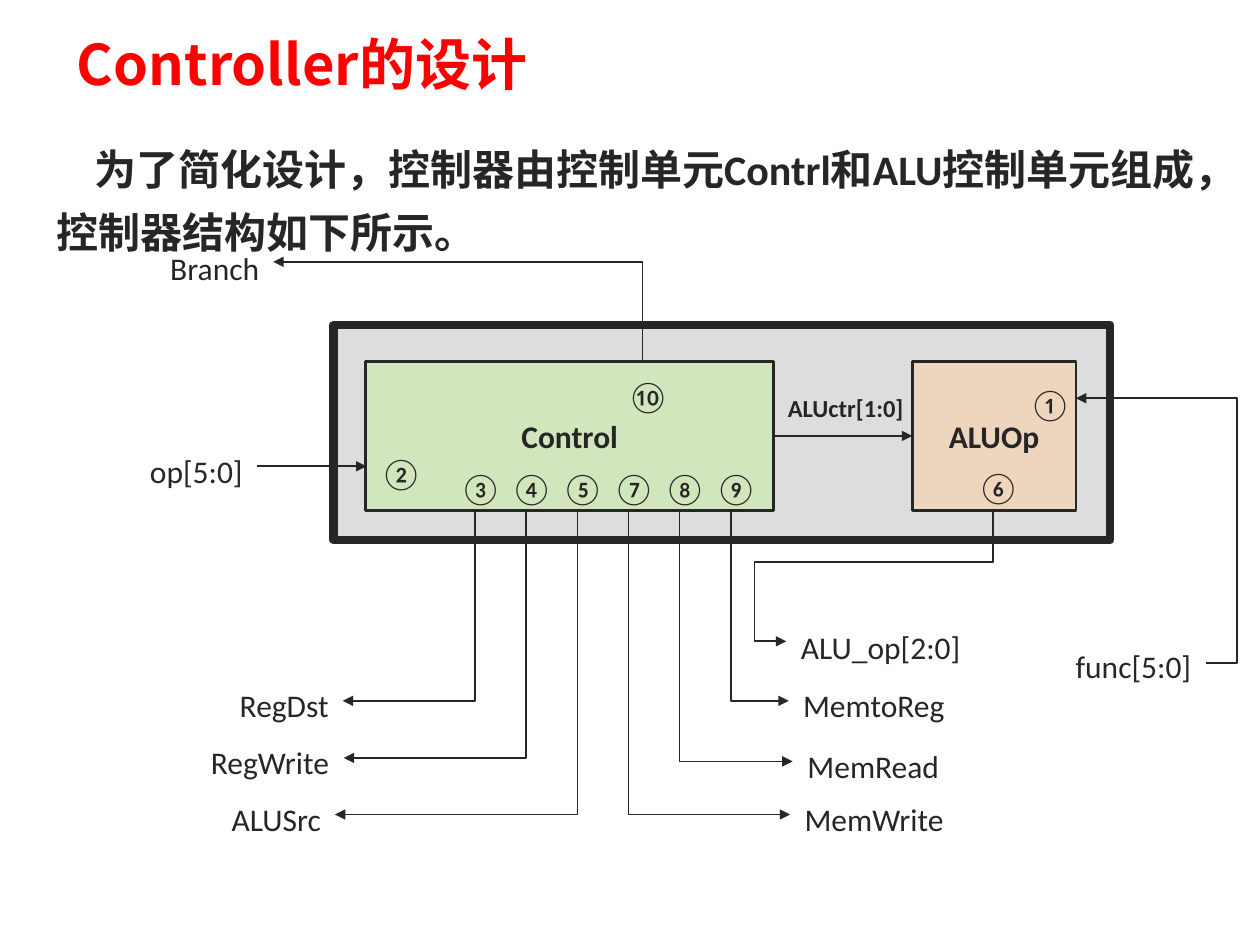
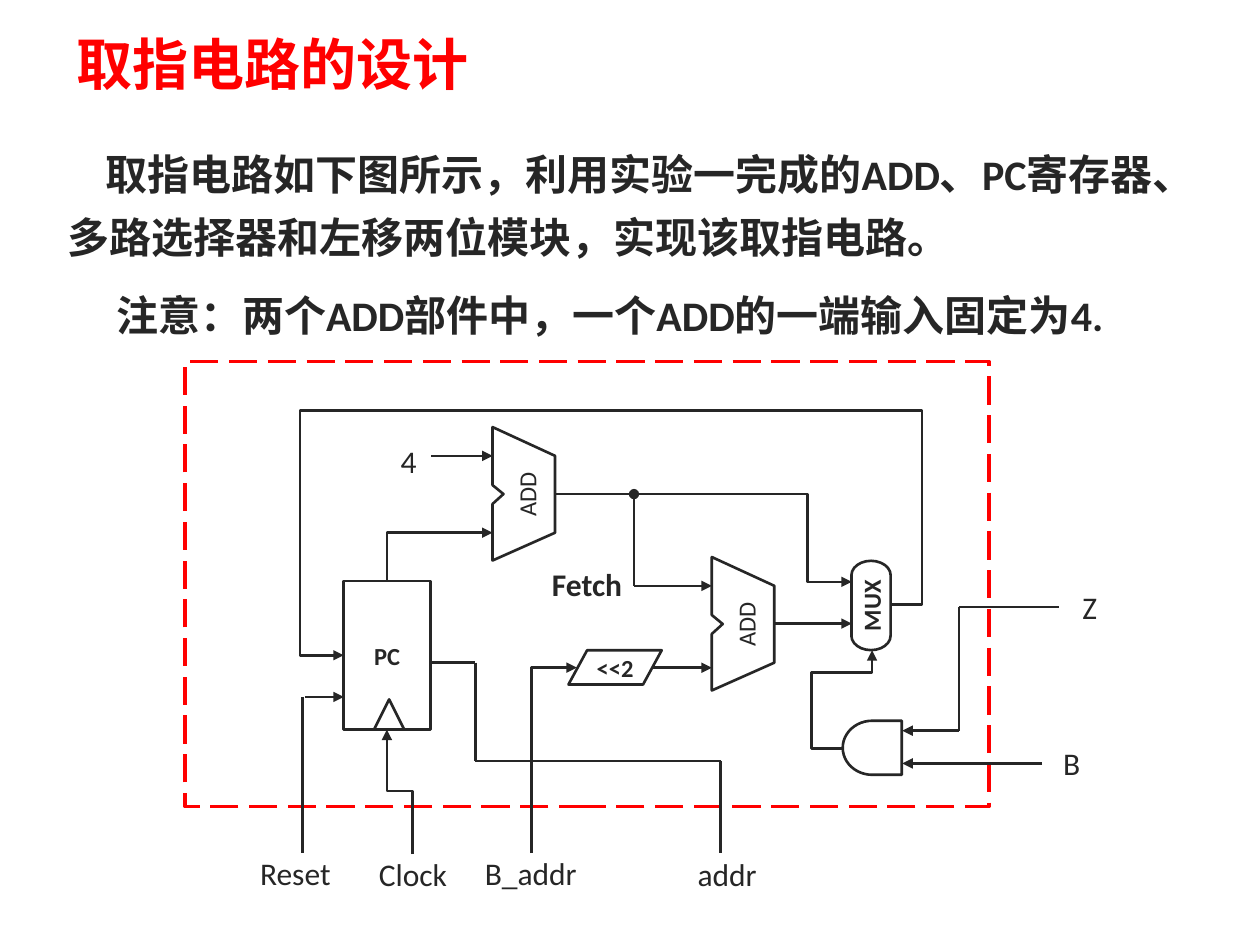
"""Two slides on a processor lab: the controller and the fetch circuit."""
from dataclasses import dataclass
from itertools import pairwise

from lxml import etree
from pptx import Presentation
from pptx import util as u
from pptx.dml import color
from pptx.enum import dml, shapes, text
from pptx.oxml import ns

INK, RED = "262626", "FF0000"
GREY, GREEN, ORANGE = "BDBDBD", "CAEEA6", "FBD0A5"
BODY_FONT, TITLE_FONT = "Calibri", "Noto Sans CJK JP"
LABEL_HEIGHT, NUMBER_SIZE = 1.24, 1.18
SHAPE = shapes.MSO_SHAPE
MIDDLE = text.MSO_ANCHOR.MIDDLE


@dataclass
class Area:
    """A part of a page; all places inside it are in cm from its corner."""
    page: object
    left: float
    top: float

    def place(self, x, y):
        """Turn a point of the area into a point of the page."""
        return u.Cm(self.left + x), u.Cm(self.top + y)


def rgb(value):
    """Colour from a hex string."""
    return color.RGBColor.from_string(value)


def add_child(parent, tag, **attributes):
    """Append a drawing element to an XML parent."""
    return etree.SubElement(parent, ns.qn(tag), attributes)


def write(shape, words, size=18, bold=False, ink=INK, font=BODY_FONT,
          align=text.PP_ALIGN.CENTER, spacing=None, inset=None, anchor=MIDDLE,
          indent=None):
    """Put one styled paragraph into a shape."""
    frame = shape.text_frame
    frame.vertical_anchor = anchor
    if inset is not None:
        frame.margin_left = frame.margin_right = u.Cm(inset[0])
        frame.margin_top = frame.margin_bottom = u.Cm(inset[1])
    para = frame.paragraphs[0]
    para.text = words
    para.alignment = align
    para.line_spacing = spacing
    para.font.size, para.font.bold = u.Pt(size), bold
    para.font.name = font
    para.font.color.rgb = rgb(ink)
    if indent:
        properties = para._p.get_or_add_pPr()
        properties.set("marL", "0")
        properties.set("indent", str(u.Cm(indent)))


def add_text(area, x, y, width, height, words, wrap=True, **style):
    """Text box inside an area."""
    box = area.page.shapes.add_textbox(*area.place(x, y), u.Cm(width), u.Cm(height))
    box.text_frame.word_wrap = wrap
    write(box, words, **style)
    return box


def add_label(area, x, y, width, words, height=LABEL_HEIGHT, **style):
    """One-line signal name that keeps its own width."""
    box = add_text(area, x, y, width, height, words, wrap=False, spacing=1.25,
                   inset=(0.28, 0.13), anchor=text.MSO_ANCHOR.TOP, **style)
    box.text_frame.auto_size = text.MSO_AUTO_SIZE.SHAPE_TO_FIT_TEXT


def outline(shape, weight=1.5, ink=INK, fill=None, alpha=100):
    """Give a shape its line and, if wanted, a translucent fill."""
    shape.shadow.inherit = False
    shape.line.color.rgb, shape.line.width = rgb(ink), u.Pt(weight)
    if fill is None:
        shape.fill.background()
        return
    shape.fill.solid()
    shape.fill.fore_color.rgb = rgb(fill)
    fill_color = shape.fill._xPr.find(".//" + ns.qn("a:srgbClr"))
    add_child(fill_color, "a:alpha", val=str(alpha * 1000))


def add_block(area, kind, x, y, width, height, **look):
    """Outlined preset shape inside an area."""
    block = area.page.shapes.add_shape(kind, *area.place(x, y), u.Cm(width), u.Cm(height))
    outline(block, **look)
    return block


def bend(wire, points):
    """Turn a connector into the bent preset that follows right-angled points."""
    (x0, y0), (x1, y1) = points[0], points[-1]
    upright = points[0][0] == points[1][0]
    first_axis = 1 if upright else 0
    frame = wire._element.spPr.find(ns.qn("a:xfrm"))
    flips = (x1 < x0, y1 < y0)
    if upright:
        width, height = wire.width, wire.height
        wire.left += (width - height) // 2
        wire.top += (height - width) // 2
        wire.width, wire.height = height, width
        flips = (y1 < y0, x1 > x0)
        if flips[0] != flips[1]:
            flips = flips[::-1]
            frame.set("rot", str(270 * 60000))
        else:
            frame.set("rot", str(90 * 60000))
    for name, flipped in zip(("flipH", "flipV"), flips):
        frame.set(name, str(int(flipped)))
    geometry = wire._element.spPr.find(ns.qn("a:prstGeom"))
    geometry.set("prst", f"bentConnector{len(points) - 1}")
    guides = geometry.find(ns.qn("a:avLst"))
    for number, point in enumerate(points[1:-2], 1):
        axis = first_axis if number % 2 else 1 - first_axis
        start, end = points[0][axis], points[-1][axis]
        share = round(100000 * (point[axis] - start) / (end - start))
        add_child(guides, "a:gd", name=f"adj{number}", fmla=f"val {share}")


def add_wire(area, *points, weight=1.5, head=None, tail="triangle"):
    """Straight or right-angled connector through the points."""
    wire = area.page.shapes.add_connector(
        shapes.MSO_CONNECTOR.STRAIGHT, *area.place(*points[0]), *area.place(*points[-1]))
    wire.line.color.rgb, wire.line.width = rgb(INK), u.Pt(weight)
    if len(points) > 2:
        bend(wire, points)
    line = wire.line._get_or_add_ln()
    for tag, end in (("a:headEnd", head), ("a:tailEnd", tail)):
        if end:
            add_child(line, tag, type=end)
    add_child(wire._element.spPr, "a:effectLst")


def add_run(area, *points):
    """Chain of plain straight wires."""
    for start, end in pairwise(points):
        add_wire(area, start, end, tail=None)


def add_page(deck, title):
    """Blank page with the shared red title."""
    page = deck.slides.add_slide(deck.slide_layouts[6])
    add_text(Area(page, 1.3, 0.33), 0, 0, 22.33, 1.9, title, size=32, bold=True,
             ink=RED, font=TITLE_FONT, align=text.PP_ALIGN.LEFT)
    return page


def add_paragraph(page, left, top, width, height, words):
    """Bold body paragraph with an indented first line."""
    add_text(Area(page, left, top), 0, 0, width, height, words, size=24, bold=True,
             align=text.PP_ALIGN.LEFT, spacing=1.25, inset=(0.28, 0.13),
             anchor=text.MSO_ANCHOR.TOP, indent=0.76)


def draw_controller(area):
    """Control unit, ALU control unit and their numbered signals."""
    add_block(area, SHAPE.RECTANGLE, 4.19, 1.85, 15.65, 4.34, weight=5, fill=GREY, alpha=51)
    units = (("Control", 4.83, 8.23, GREEN, 58), ("ALUOp", 15.85, 3.3, ORANGE, 57))
    for name, x, width, fill, alpha in units:
        unit = add_block(area, SHAPE.RECTANGLE, x, 2.59, width, 3, fill=fill, alpha=alpha)
        write(unit, name, bold=True, inset=(0, 0))

    # number, name, label left, label top, label width
    outputs = (("③", "RegDst", 2.01, 8.81, 2.36), ("④", "RegWrite", 1.42, 9.96, 2.97),
               ("⑤", "ALUSrc", 1.85, 11.1, 2.36), ("⑦", "MemWrite", 13.39, 11.1, 3.38),
               ("⑧", "MemRead", 13.44, 10.03, 3.25), ("⑨", "MemtoReg", 13.36, 8.81, 3.43))
    numbers = [("①", 17.93, 2.74), ("②", 4.85, 4.14), ("⑥", 16.89, 4.42), ("⑩", 9.83, 2.59)]
    for index, (number, name, x, y, width) in enumerate(outputs):
        pin = 7.04 + 1.03 * index
        level = y + LABEL_HEIGHT / 2
        label_edge = x + width if x < pin else x
        numbers.append((number, pin - NUMBER_SIZE / 2, 4.44))
        add_label(area, x, y, width, name)
        add_wire(area, (pin, 5.59), (pin, level), (label_edge, level), weight=1)
    for number, x, y in numbers:
        add_label(area, x, y, NUMBER_SIZE, number, height=NUMBER_SIZE)

    for name, x, y, width in (("Branch", 0.61, 0, 2.36), ("ALU_op[2:0]", 13.31, 7.64, 3.81),
                              ("func[5:0]", 18.85, 8.03, 2.92), ("op[5:0]", 0.2, 4.09, 2.44)):
        add_label(area, x, y, width, name)
    add_label(area, 13.06, 2.95, 2.9, "ALUctr[1:0]", height=0.97, size=14, bold=True)
    for route in (
            ((10.41, 2.59), (10.41, 0.58), (2.97, 0.58)),
            ((13.06, 4.09), (15.85, 4.09)),
            ((17.48, 5.59), (17.48, 6.63), (12.67, 6.63), (12.67, 8.23), (13.31, 8.23)),
            ((21.77, 8.66), (22.4, 8.66), (22.4, 3.33), (19.15, 3.33)),
            ((2.64, 4.7), (4.85, 4.7))):
        add_wire(area, *route, weight=1)


def draw_adder(area, x, y):
    """Notched adder outline with its upright name."""
    profile = ((0, 0), (1.26, 0.58), (1.26, 2.13), (0, 2.69), (0, 1.55), (0.22, 1.35), (0, 1.17))
    corners = [area.place(x + dx, y + dy) for dx, dy in profile]
    builder = area.page.shapes.build_freeform(*corners[0])
    builder.add_line_segments(corners[1:], close=True)
    outline(builder.convert_to_shape())
    name = add_text(area, x - 0.28, y + 0.88, 1.93, 0.96, "ADD", size=14)
    name.rotation = 270


def draw_fetch_parts(area):
    """Frame, register, shifter, multiplexer, gate and adders."""
    frame = add_block(area, SHAPE.RECTANGLE, 0, 0, 16.21, 8.97, weight=2, ink=RED)
    frame.line.dash_style = dml.MSO_LINE.LONG_DASH
    write(frame, "Fetch", bold=True)
    parts = (("PC", SHAPE.RECTANGLE, 3.2, 4.42, 1.75, 3, 0),
             ("<<2", SHAPE.FLOWCHART_DATA, 7.73, 5.82, 1.88, 0.69, 0),
             ("MUX", SHAPE.FLOWCHART_TERMINATOR, 12.93, 4.52, 1.8, 0.79, 270))
    for name, kind, x, y, width, height, angle in parts:
        part = add_block(area, kind, x, y, width, height)
        part.rotation = angle
        write(part, name, size=14, bold=True, inset=(0, 0))
    add_block(area, SHAPE.FLOWCHART_EXTRACT, 3.81, 6.81, 0.61, 0.61)
    gate = add_block(area, SHAPE.FLOWCHART_DELAY, 13.26, 7.24, 1.19, 1.09)
    gate._element.spPr.find(ns.qn("a:xfrm")).set("flipH", "1")
    draw_adder(area, 6.2, 1.32)
    draw_adder(area, 10.62, 3.94)


def draw_fetch_wires(area):
    """Signals between the parts and their names outside the frame."""
    for route in (
            ((4.96, 1.9), (6.2, 1.9)),
            ((4.07, 4.42), (4.07, 3.45), (6.2, 3.45)),
            ((11.88, 5.28), (13.44, 5.28)),
            ((14.23, 4.9), (14.86, 4.9), (14.86, 0.99), (2.32, 0.99), (2.32, 5.92), (3.2, 5.92)),
            ((9.43, 6.17), (10.62, 6.17)),
            ((9.05, 4.52), (10.62, 4.52)),
            ((6.99, 9.91), (6.99, 6.17), (7.9, 6.17)),
            ((7.46, 2.67), (12.55, 2.67), (12.55, 4.44), (13.44, 4.44)),
            ((13.26, 7.8), (12.63, 7.8), (12.63, 6.27), (13.85, 6.27), (13.85, 5.82)),
            ((2.42, 6.76), (3.2, 6.76)),
            ((4.58, 9.93), (4.58, 8.66), (4.07, 8.66), (4.07, 7.42)),
            ((15.6, 7.44), (14.46, 7.44)),
            ((17.28, 8.1), (14.46, 8.1))):
        add_wire(area, *route)
    add_wire(area, (9.05, 2.67), (9.05, 4.52), head="oval", tail=None)
    add_run(area, (2.37, 6.76), (2.37, 9.91))
    add_run(area, (15.6, 7.44), (15.6, 4.95), (17.61, 4.95))
    add_run(area, (4.95, 6.07), (5.85, 6.07), (5.85, 8.05), (10.8, 8.05), (10.8, 9.91))
    for name, x, y, width in (("4", 3.81, 1.6, 1.4), ("Z", 17.81, 4.55, 0.86),
                              ("B", 17.38, 7.7, 0.99), ("Reset", 1.22, 9.91, 2.01),
                              ("Clock", 3.59, 9.93, 2.01), ("B_addr", 5.85, 9.91, 2.24),
                              ("addr", 9.81, 9.93, 2.24)):
        add_text(area, x, y, width, 0.79, name, inset=(0, 0))


def controller_page(deck):
    """Page on the structure of the controller."""
    page = add_page(deck, "Controller的设计")
    draw_controller(Area(page, 2.54, 4.7))
    add_paragraph(page, 0.86, 2.51, 23.85, 2.84,
                  "为了简化设计,控制器由控制单元Contrl和ALU控制单元组成,控制器结构如下所示。"
                  .replace(",", "\uff0c"))


def fetch_page(deck):
    """Page on the instruction fetch circuit."""
    page = add_page(deck, "取指电路的设计")
    area = Area(page, 3.73, 7.29)
    draw_fetch_parts(area)
    draw_fetch_wires(area)
    add_paragraph(page, 1.09, 2.62, 23.6, 2.84,
                  "取指电路如下图所示\uff0c利用实验一完成的ADD、PC寄存器、"
                  "多路选择器和左移两位模块\uff0c实现该取指电路。")
    add_paragraph(page, 1.3, 5.46, 23.01, 1.55,
                  "注意\uff1a两个ADD部件中\uff0c一个ADD的一端输入固定为4.")


deck = Presentation()
deck.slide_width, deck.slide_height = u.Cm(25.4), u.Cm(19.05)
controller_page(deck)
fetch_page(deck)
deck.save("out.pptx")
